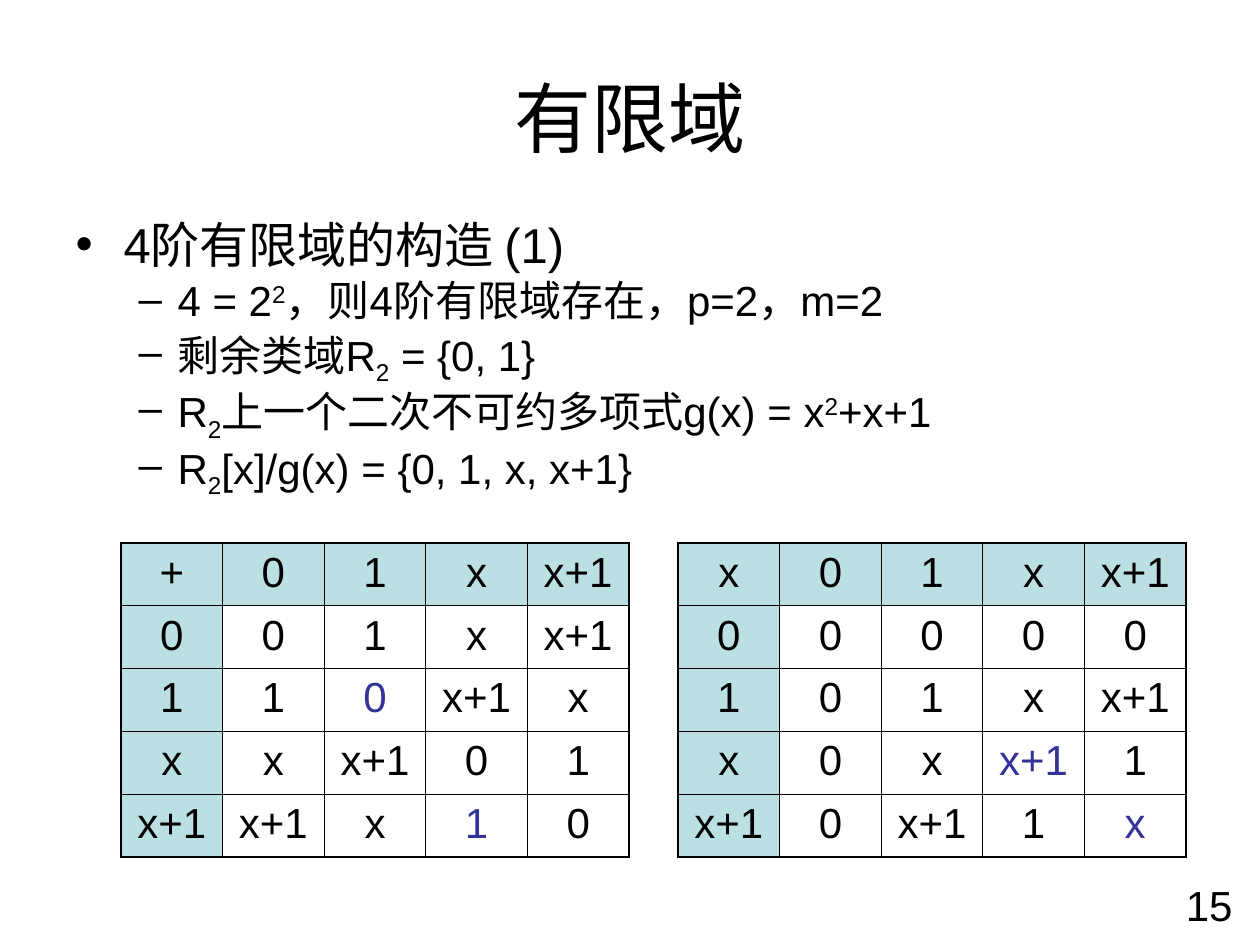
"""Build the slide on constructing the finite field of order four."""
import dataclasses

import pptx
import pptx.dml.color
import pptx.enum.text
import pptx.oxml
import pptx.oxml.ns
import pptx.util

TITLE = "有限域"
PAGE_NUMBER = "15"
SUP, SUB = 30000, -25000
OUTLINE = [
    (0, [("4阶有限域的构造 (1)", 0)]),
    (1, [("4 = 2", 0), ("2", SUP), ("，则4阶有限域存在，p=2，m=2", 0)]),
    (1, [("剩余类域R", 0), ("2", SUB), (" = {0, 1}", 0)]),
    (1, [("R", 0), ("2", SUB), ("上一个二次不可约多项式g(x) = x", 0), ("2", SUP), ("+x+1", 0)]),
    (1, [("R", 0), ("2", SUB), ("[x]/g(x) = {0, 1, x, x+1}", 0)]),
]
ELEMENTS = ["0", "1", "x", "x+1"]
OPERATIONS = [
    {
        "sign": "+",
        "results": [["0", "1", "x", "x+1"], ["1", "0", "x+1", "x"],
                    ["x", "x+1", "0", "1"], ["x+1", "x", "1", "0"]],
        "marked": {(2, 2), (4, 3)},
    },
    {
        "sign": "x",
        "results": [["0", "0", "0", "0"], ["0", "1", "x", "x+1"],
                    ["0", "x", "x+1", "1"], ["0", "x+1", "1", "x"]],
        "marked": {(3, 3), (4, 4)},
    },
]

SLIDE = (1260, 945)
TITLE_BOX = (63, 38, 1134, 157)
BODY_BOX = (63, 220, 1134, 301)
NUMBER_BOX = (951, 873, 294, 66)
TABLE_BOX = (121, 543, 508, 314)
TABLE_GAP = 49


@dataclasses.dataclass(frozen=True)
class Theme:
    font: str = "Arial"
    ink: str = "000000"
    header: str = "BBE0E3"
    mark: str = "333399"
    title: int = 44
    text: int = 24
    outer_line: float = 1.08
    inner_line: float = 0.45


@dataclasses.dataclass(frozen=True)
class Level:
    size: int
    bullet: str
    margin: int
    hanging: int
    before: int


THEME = Theme()
LEVELS = [Level(28, "•", 48, 48, 7), Level(24, "–", 102, 39, 6)]
ALIGN = pptx.enum.text.PP_ALIGN


def px(length):
    return round(length * 914400 / 126)


def rgb(colour):
    return pptx.dml.color.RGBColor.from_string(colour)


def add_xml(parent, tag, content="", **attributes):
    values = "".join(f' {name}="{value}"' for name, value in attributes.items())
    namespace = pptx.oxml.ns.nsdecls("a")
    parent.append(pptx.oxml.parse_xml(f"<a:{tag} {namespace}{values}>{content}</a:{tag}>"))


def style(para, size, colour=THEME.ink):
    for span in para.runs:
        span.font.name = THEME.font
        span.font.size = pptx.util.Pt(size)
        span.font.color.rgb = rgb(colour)


def place(shape, box):
    shape.left, shape.top, shape.width, shape.height = map(px, box)
    shape.text_frame.word_wrap = True
    shape.text_frame.auto_size = pptx.enum.text.MSO_AUTO_SIZE.NONE


def write(shape, text, size, align):
    shape.text_frame.text = text
    para = shape.text_frame.paragraphs[0]
    para.alignment = align
    style(para, size)


def fill_outline(frame):
    for index, (depth, spans) in enumerate(OUTLINE):
        level = LEVELS[depth]
        para = frame.add_paragraph() if index else frame.paragraphs[0]
        para.level = depth
        para.line_spacing = 0.8
        para.space_before = pptx.util.Pt(level.before)
        properties = para._p.get_or_add_pPr()
        properties.set("marL", str(px(level.margin)))
        properties.set("indent", str(-px(level.hanging)))
        add_xml(properties, "buClr", f'<a:srgbClr val="{THEME.ink}"/>')
        add_xml(properties, "buFont", typeface=THEME.font)
        add_xml(properties, "buChar", char=level.bullet)
        for text, baseline in spans:
            span = para.add_run()
            span.text = text
            if baseline:
                span.font._element.set("baseline", str(baseline))
        style(para, level.size)


def add_borders(cell, row, column, last):
    edges = {"lnL": column == 0, "lnR": column == last, "lnT": row == 0, "lnB": row == last}
    for tag, outer in edges.items():
        width = pptx.util.Pt(THEME.outer_line if outer else THEME.inner_line)
        line = f'<a:solidFill><a:srgbClr val="{THEME.ink}"/></a:solidFill>'
        add_xml(cell._tc.get_or_add_tcPr(), tag, line, w=int(width))


def add_operation(page, operation, box):
    rows = [[operation["sign"], *ELEMENTS]]
    rows += [[element, *results] for element, results in zip(ELEMENTS, operation["results"])]
    count = len(rows)
    table = page.shapes.add_table(count, count, *map(px, box)).table
    table.first_row = False
    table.horz_banding = False
    for row, texts in enumerate(rows):
        for column, text in enumerate(texts):
            cell = table.cell(row, column)
            add_borders(cell, row, column, count - 1)
            if row == 0 or column == 0:
                cell.fill.solid()
                cell.fill.fore_color.rgb = rgb(THEME.header)
            else:
                cell.fill.background()
            cell.text_frame.text = text
            para = cell.text_frame.paragraphs[0]
            para.alignment = ALIGN.CENTER
            para.space_before = pptx.util.Pt(6)
            style(para, THEME.text, THEME.mark if (row, column) in operation["marked"] else THEME.ink)


def main():
    deck = pptx.Presentation()
    deck.slide_width, deck.slide_height = map(px, SLIDE)
    page = deck.slides.add_slide(deck.slide_layouts[1])

    title, body = page.placeholders
    place(title, TITLE_BOX)
    title.text_frame.vertical_anchor = pptx.enum.text.MSO_ANCHOR.MIDDLE
    write(title, TITLE, THEME.title, ALIGN.CENTER)
    place(body, BODY_BOX)
    fill_outline(body.text_frame)

    left, top, width, height = TABLE_BOX
    for index, operation in enumerate(OPERATIONS):
        add_operation(page, operation, (left + index * (width + TABLE_GAP), top, width, height))

    number = page.shapes.add_textbox(*map(px, NUMBER_BOX))
    place(number, NUMBER_BOX)
    write(number, PAGE_NUMBER, THEME.text, ALIGN.RIGHT)
    deck.save("out.pptx")


if __name__ == "__main__":
    main()
